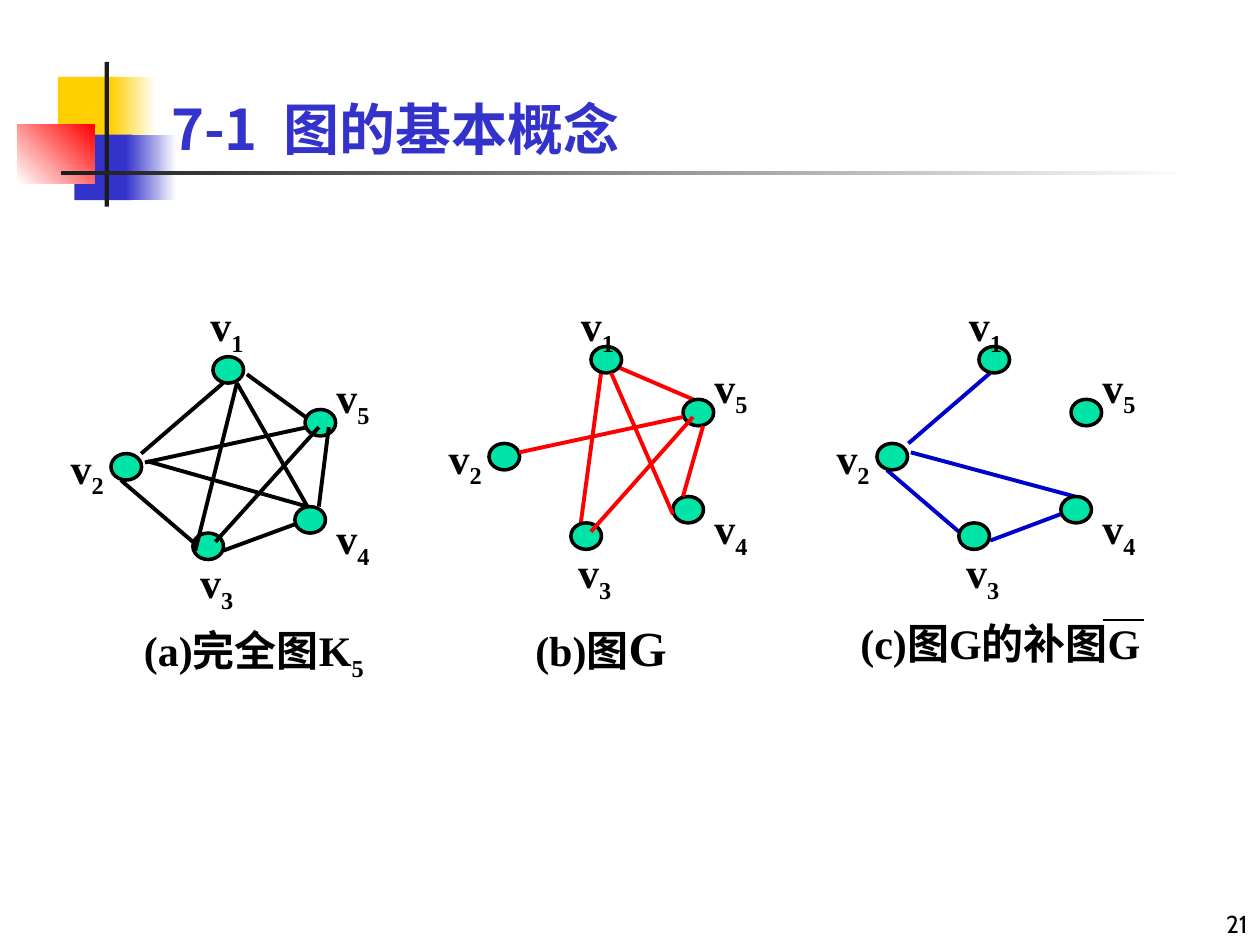
"""Build a slide comparing a complete graph, a graph and its complement."""
import pptx
import pptx.dml.color
import pptx.enum.shapes
import pptx.enum.text
import pptx.oxml
import pptx.oxml.ns
import pptx.util
from lxml import etree

Pt = pptx.util.Pt
RGBColor = pptx.dml.color.RGBColor
SHAPE = pptx.enum.shapes.MSO_SHAPE
ANCHOR = pptx.enum.text.MSO_ANCHOR
ALIGN = pptx.enum.text.PP_ALIGN
qn = pptx.oxml.ns.qn

BLACK = RGBColor(0x00, 0x00, 0x00)
WHITE = RGBColor(0xFF, 0xFF, 0xFF)
CHARCOAL = RGBColor(0x1C, 0x1C, 0x1C)
GOLD = RGBColor(0xFF, 0xCF, 0x01)
INDIGO = RGBColor(0x33, 0x33, 0xCC)
RED = RGBColor(0xFF, 0x00, 0x00)
BLUE = RGBColor(0x00, 0x00, 0xCC)
GREEN = RGBColor(0x00, 0xE4, 0xA8)

SERIF = "Times New Roman"
CJK = "Noto Sans CJK SC"


def add_text(shapes, box, runs, align=ALIGN.CENTER, anchor=ANCHOR.TOP,
             color=BLACK, bold=True, before=0):
    frame = shapes.add_textbox(*map(Pt, box)).text_frame
    frame.word_wrap = True
    frame.vertical_anchor = anchor
    paragraph = frame.paragraphs[0]
    paragraph.alignment = align
    paragraph.space_before = Pt(before)
    for words, size, face, baseline in runs:
        run = paragraph.add_run()
        run.text = words
        run.font.size = Pt(size)
        run.font.name = face
        run.font.bold = bold
        run.font.color.rgb = color
        properties = run.font._element
        etree.SubElement(properties, qn("a:ea")).set("typeface", CJK)
        if baseline:
            properties.set("baseline", str(baseline * 1000))


def add_line(shapes, start, end, color, width):
    line = shapes.add_connector(pptx.enum.shapes.MSO_CONNECTOR.STRAIGHT,
                                *map(Pt, (*start, *end)))
    line.line.color.rgb = color
    line.line.width = Pt(width)
    etree.SubElement(line._element.spPr, qn("a:effectLst"))


deck = pptx.Presentation()
deck.slide_width, deck.slide_height = Pt(720), Pt(540)
slide = deck.slides.add_slide(deck.slide_layouts[6])

ornaments = [
    ((33.1, 43.9, 34.6, 37.4), (GOLD,), 0),
    ((63.4, 43.9, 25.9, 37.4), (GOLD, WHITE), 0),
    ((42.5, 77, 33.1, 37.4), (INDIGO,), 0),
    ((72, 77, 28.8, 37.4), (INDIGO, WHITE), 0),
    ((10, 71, 44, 33.8), (WHITE, RED), 45),
    ((59.8, 35.3, 2.4, 82.8), (CHARCOAL,), 0),
    ((34.6, 97.9, 648, 2.2), (CHARCOAL, WHITE), 0),
]
for box, colors, angle in ornaments:
    ornament = slide.shapes.add_shape(SHAPE.RECTANGLE, *map(Pt, box))
    ornament.shadow.inherit = False
    ornament.line.fill.background()
    if len(colors) == 1:
        ornament.fill.solid()
        ornament.fill.fore_color.rgb = colors[0]
    else:
        ornament.fill.gradient()
        ornament.fill.gradient_angle = angle
        for stop, color in zip(ornament.fill.gradient_stops, colors):
            stop.color.rgb = color

add_text(slide.shapes, (570.2, 504, 149.8, 36), [("21", 14, "Cabin", 0)],
         ALIGN.RIGHT, ANCHOR.BOTTOM, bold=False)
add_text(slide.shapes, (90.7, 5.8, 613.4, 90), [("7-1  图的基本概念", 32, CJK, 0)],
         ALIGN.LEFT, ANCHOR.BOTTOM, INDIGO)

vertex_offsets = [(0, 0), (-58.3, 55.4), (-11.5, 100.8), (46.8, 85.7), (52.6, 30.2)]
label_offsets = [(-91.4, 45.4), (-17.3, 110.9), (60.5, 85.7), (60.5, 5)]

graphs = [
    {
        "origin": (121.7, 203.8), "first_label": (-11.5, -36), "color": BLACK,
        "behind": [((54, 85.7), (-37.4, 59.8)), ((5.8, 15.1), (-41, 55.4))],
        "front": [
            ((-11.5, 105.8), (-52.6, 70.6)), ((46.8, 95.8), (5.8, 110.9)),
            ((13.7, 15.1), (-10.1, 110.9)), ((60.5, 40.3), (1.4, 105.8)),
            ((66.2, 40.3), (60.5, 85.7)), ((54, 35.3), (19.4, 10.1)),
            ((54, 40.3), (-38.9, 60.5)), ((13.7, 15.1), (54, 85.7)),
        ],
        "caption_box": (72, 353.5, 146.2, 69.1), "before": 15,
        "caption": [("(a)完全图K", 24, SERIF, 0), ("5", 24, SERIF, -25)],
    },
    {
        "origin": (337.7, 198), "first_label": (-15.8, -30.2), "color": RED,
        "behind": [((58.3, 30.2), (11.5, 10.1)), ((5.8, 15.1), (-5.8, 100.8))],
        "front": [
            ((46.8, 95.8), (11.5, 15.1)), ((52.6, 85.7), (64.1, 45.4)),
            ((52.6, 40.3), (-41, 60.5)), ((58.3, 40.3), (0, 105.8)),
        ],
        "caption_box": (285.1, 349.2, 116.6, 41), "before": 17.5,
        "caption": [("(b)图", 24, SERIF, 0), ("G", 28, SERIF, 0)],
    },
    {
        "origin": (559.4, 198), "first_label": (-15.8, -30.2), "color": BLUE,
        "behind": [
            ((54.7, 85.7), (-38.9, 60.5)), ((6.5, 15.1), (-40.3, 55.4)),
            ((-11.5, 105.8), (-52.6, 70.6)), ((46.8, 95.8), (6.5, 110.9)),
        ],
        "front": [],
        "caption_box": (472.3, 349.2, 198.7, 36), "before": 15,
        "caption": [("(c)图G", 24, SERIF, 0), ("的补图", 24, CJK, 0),
                    ("G", 24, SERIF, 0)],
    },
]

for graph in graphs:
    parts = slide.shapes.add_group_shape().shapes
    left, top = graph["origin"]

    for (x1, y1), (x2, y2) in graph["behind"]:
        add_line(parts, (left + x1, top + y1), (left + x2, top + y2),
                 graph["color"], 2.25)

    for dx, dy in vertex_offsets:
        vertex = parts.add_shape(SHAPE.OVAL, Pt(left + dx), Pt(top + dy),
                                 Pt(17.5), Pt(15.1))
        vertex.shadow.inherit = False
        vertex.fill.solid()
        vertex.fill.fore_color.rgb = GREEN
        vertex.line.color.rgb = BLACK
        vertex.line.width = Pt(2)

    for number, (dx, dy) in enumerate([graph["first_label"], *label_offsets], 1):
        add_text(parts, (left + dx, top + dy, 39, 40.3),
                 [("v", 24, SERIF, 0), (str(number), 24, SERIF, -25)], before=15)

    for (x1, y1), (x2, y2) in graph["front"]:
        add_line(parts, (left + x1, top + y1), (left + x2, top + y2),
                 graph["color"], 2.25)

    add_text(parts, graph["caption_box"], graph["caption"], before=graph["before"])

add_line(slide.shapes, (630, 354.2), (653.8, 354.2), BLACK, 1.5)

deck.save("out.pptx")
